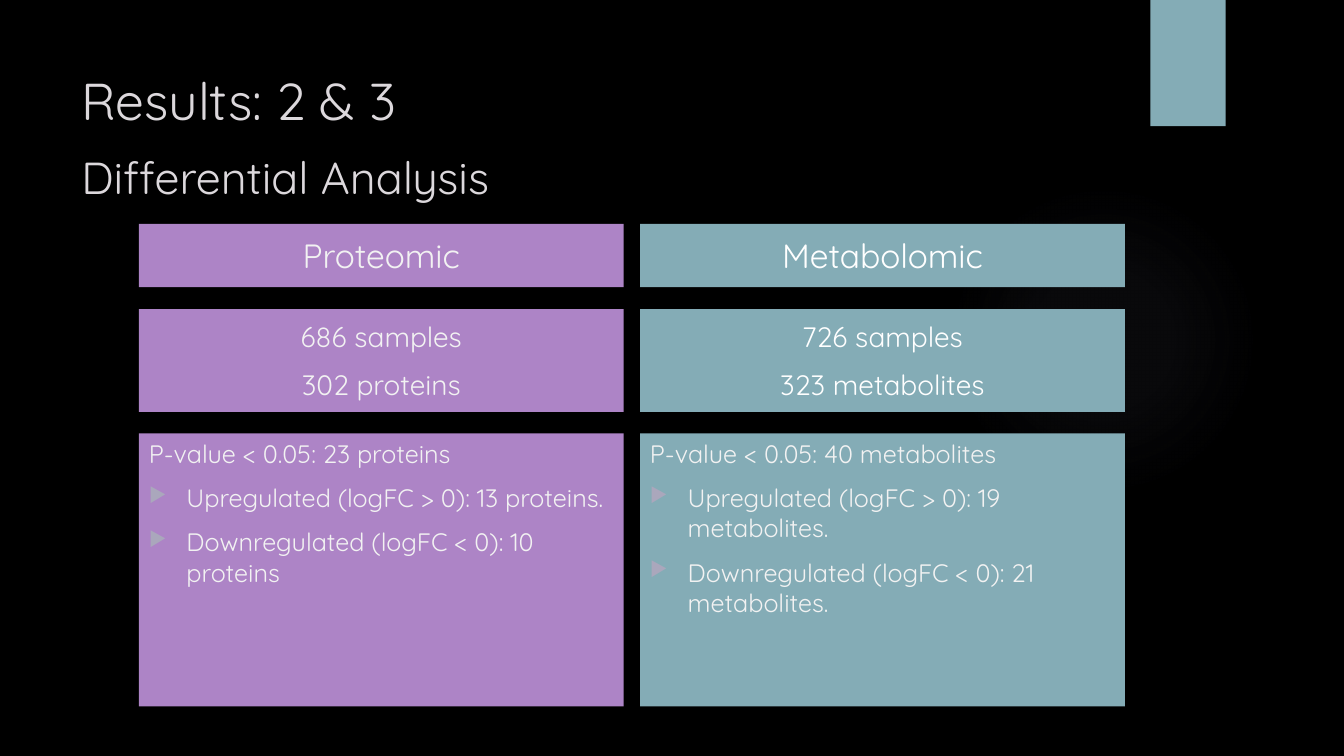
import pptx
import pptx.dml.color
import pptx.enum.shapes
import pptx.enum.text
import pptx.oxml
import pptx.oxml.ns
import pptx.util
from pptx.util import Cm, Pt

RGBColor = pptx.dml.color.RGBColor
Align = pptx.enum.text.PP_ALIGN
Anchor = pptx.enum.text.MSO_ANCHOR
Shape = pptx.enum.shapes.MSO_SHAPE

BLACK = RGBColor(0x00, 0x00, 0x00)
PURPLE = RGBColor(0xAD, 0x84, 0xC6)
TEAL = RGBColor(0x84, 0xAC, 0xB6)
TITLE_GREY = RGBColor(0xDC, 0xD8, 0xDC)
OFF_WHITE = RGBColor(0xF2, 0xF2, 0xF2)
WHITE = RGBColor(0xFF, 0xFF, 0xFF)
BULLET_GREY = RGBColor(0xAA, 0xA7, 0xBC)
GLOW = RGBColor(0x7F, 0x7B, 0x9A)

FONT = "Quicksand"
COLUMN_LEFT, COLUMN_STEP, COLUMN_WIDTH = 3.5, 12.63, 12.22
COLUMNS = [
    (PURPLE, OFF_WHITE, "Proteomic", ["686 samples", "302 proteins"],
     "P-value < 0.05: 23 proteins",
     ["Upregulated (logFC > 0): 13 proteins.", "Downregulated (logFC < 0): 10 proteins"]),
    (TEAL, WHITE, "Metabolomic", ["726 samples", "323 metabolites"],
     "P-value < 0.05: 40 metabolites",
     ["Upregulated (logFC > 0): 19 metabolites.", "Downregulated (logFC < 0): 21 metabolites."]),
]


def add_block(slide, kind, left, top, width, height, color):
    """Add a flat filled shape, measured in centimetres."""
    shape = slide.shapes.add_shape(kind, Cm(left), Cm(top), Cm(width), Cm(height))
    shape.shadow.inherit = False
    shape.fill.solid()
    shape.fill.fore_color.rgb = color
    shape.line.fill.background()
    return shape


def add_glow(slide):
    """Add the faint round glow that fades out towards its rim."""
    shape = add_block(slide, Shape.OVAL, 23.9, 4.65, 7.82, 7.82, GLOW)
    stops = "".join(
        f'<a:gs pos="{position}000"><a:srgbClr val="{GLOW}"><a:alpha val="{alpha}000"/></a:srgbClr></a:gs>'
        for position, alpha in [(0, 7), (36, 6), (69, 0), (100, 0)])
    gradient = pptx.oxml.parse_xml(
        f'<a:gradFill {pptx.oxml.ns.nsdecls("a")}><a:gsLst>{stops}</a:gsLst><a:path path="circle">'
        '<a:fillToRect l="50000" t="50000" r="50000" b="50000"/></a:path></a:gradFill>')
    properties = shape.element.spPr
    properties.replace(properties.find(pptx.oxml.ns.qn("a:solidFill")), gradient)


def add_title(slide, lines):
    """Add the title, one sized run per line."""
    box = slide.shapes.add_textbox(Cm(1.8), Cm(1.27), Cm(27.89), Cm(4.04))
    frame = box.text_frame
    frame.word_wrap = True
    frame.vertical_anchor = Anchor.MIDDLE
    paragraph = frame.paragraphs[0]
    paragraph.line_spacing = Pt(52)
    paragraph.font.name = FONT
    paragraph.font.color.rgb = TITLE_GREY
    for index, (text, size) in enumerate(lines):
        if index:
            paragraph.add_line_break()
        run = paragraph.add_run()
        run.text = text
        run.font.size = Pt(size)


def add_bullet(paragraph):
    """Give a paragraph a hanging grey triangle."""
    properties = paragraph._p.get_or_add_pPr()
    properties.set("marL", str(Cm(0.95)))
    properties.set("indent", str(-Cm(0.95)))
    for markup in (f'<a:buClr {{}}><a:srgbClr val="{BULLET_GREY}"/></a:buClr>',
                   '<a:buSzPct {} val="80000"/>', '<a:buChar {} char="▶"/>'):
        properties.append(pptx.oxml.parse_xml(markup.format(pptx.oxml.ns.nsdecls("a"))))


def add_panel(slide, left, top, height, fill, lines, size, color,
              align=Align.CENTER, anchor=Anchor.MIDDLE, bullets=()):
    """Add a coloured panel with plain lines followed by bulleted ones."""
    shape = add_block(slide, Shape.RECTANGLE, left, top, COLUMN_WIDTH, height, fill)
    frame = shape.text_frame
    frame.word_wrap = True
    frame.vertical_anchor = anchor
    for index, text in enumerate([*lines, *bullets]):
        paragraph = frame.add_paragraph() if index else frame.paragraphs[0]
        paragraph.text = text
        paragraph.alignment = align
        paragraph.space_before = Pt(10)
        if index >= len(lines):
            add_bullet(paragraph)
        paragraph.font.name = FONT
        paragraph.font.size = Pt(size)
        paragraph.font.color.rgb = color


def main():
    """Build the slide and save it."""
    presentation = pptx.Presentation()
    presentation.slide_width, presentation.slide_height = Cm(33.87), Cm(19.05)
    slide = presentation.slides.add_slide(presentation.slide_layouts[6])
    slide.background.fill.solid()
    slide.background.fill.fore_color.rgb = BLACK
    add_glow(slide)
    add_block(slide, Shape.RECTANGLE, 28.99, 0, 1.9, 3.18, TEAL)
    add_title(slide, [("Results: 2 & 3", 37), ("Differential Analysis", 32)])
    for index, (fill, color, heading, counts, summary, changes) in enumerate(COLUMNS):
        left = COLUMN_LEFT + index * COLUMN_STEP
        add_panel(slide, left, 5.64, 1.6, fill, [heading], 24, color)
        add_panel(slide, left, 7.79, 2.59, fill, counts, 20, color)
        add_panel(slide, left, 10.92, 6.88, fill, [summary], 18, OFF_WHITE,
                  Align.LEFT, Anchor.TOP, changes)
    presentation.save("out.pptx")


if __name__ == "__main__":
    main()
